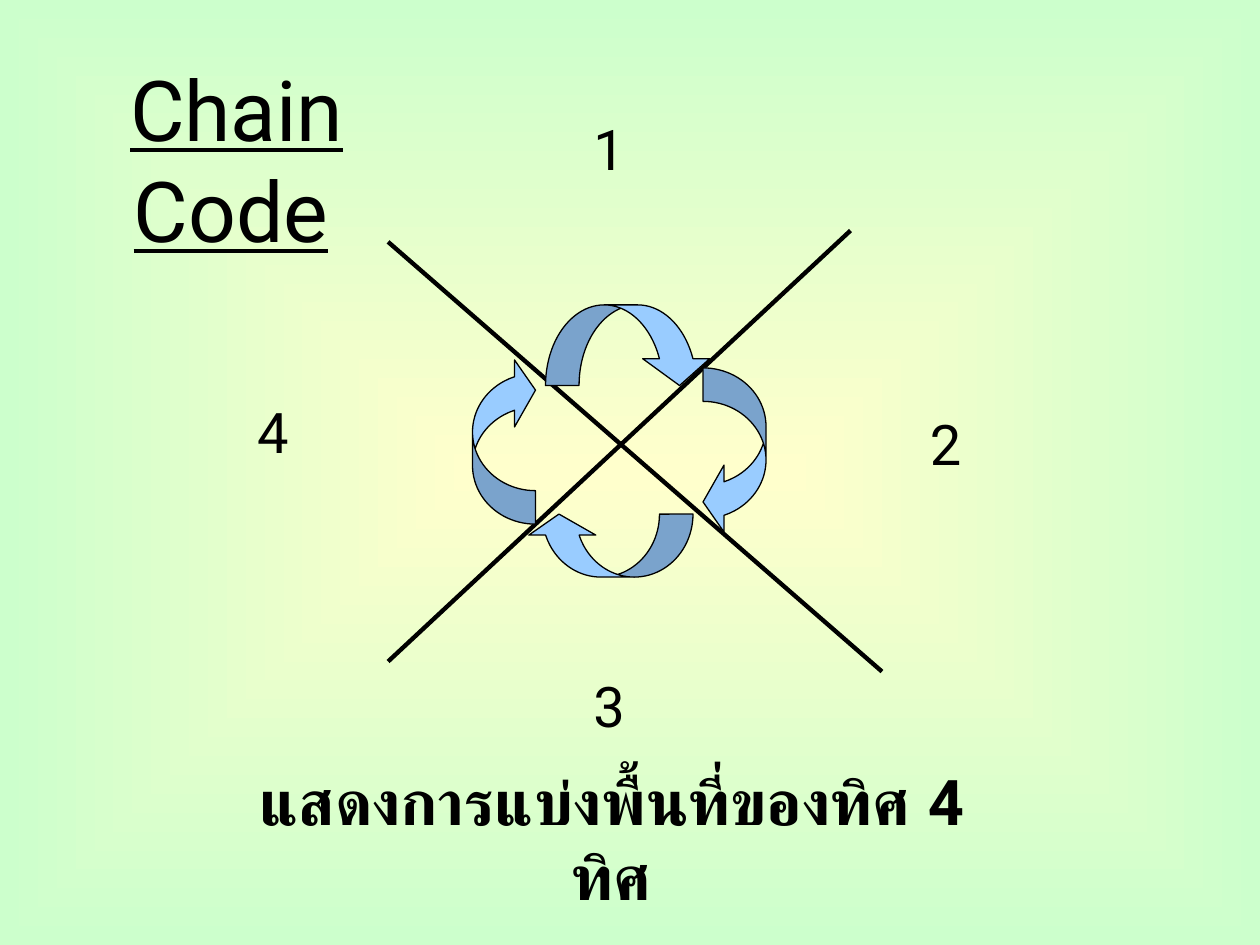
"""Build a slide on the four directions of the chain code."""
from lxml.etree import SubElement
from pptx import Presentation
from pptx.dml.color import RGBColor
from pptx.enum.shapes import MSO_CONNECTOR, MSO_SHAPE as Shape
from pptx.enum.text import MSO_ANCHOR, MSO_AUTO_SIZE, PP_ALIGN
from pptx.oxml.ns import qn
from pptx.util import Inches, Pt

WIDTH, HEIGHT = 10, 7.5
FONT = "Roboto"
COLORS = {"center": "FFFFCC", "edge": "CCFFCC", "ink": "000000", "arrow": "99CCFF"}
ARROW_LENGTH = 1.33


def color(name):
    return RGBColor.from_string(COLORS[name])


def paint_background(slide):
    fill = slide.background.fill
    fill.gradient()
    for stop, name in zip(fill.gradient_stops, ("center", "edge")):
        stop.color.rgb = color(name)
    gradient = slide.background._cSld.find(".//" + qn("a:gradFill"))
    gradient.remove(gradient.find(qn("a:lin")))
    path = SubElement(gradient, qn("a:path"), {"path": "rect"})
    SubElement(path, qn("a:fillToRect"), dict.fromkeys("ltrb", "50000"))


def write_text(shape, text, size=32, bold=False, underline=False, wrap=False):
    frame = shape.text_frame
    frame.word_wrap = wrap
    frame.auto_size = MSO_AUTO_SIZE.SHAPE_TO_FIT_TEXT
    frame.vertical_anchor = MSO_ANCHOR.TOP
    paragraph = frame.paragraphs[0]
    paragraph.alignment = PP_ALIGN.CENTER
    run = paragraph.add_run()
    run.text = text
    font = run.font
    font.name, font.size, font.bold, font.underline = FONT, Pt(size), bold, underline
    font.color.rgb = color("ink")


def add_title(slide):
    title = slide.shapes.title
    title.left, title.top = Inches(0.42), Inches(0.41)
    title.width, title.height = Inches(2.92), Inches(1.7)
    write_text(title, "Chain Code", size=48, underline=True, wrap=True)
    write_text(title, " ", size=28, wrap=True)


def add_label(slide, text, left, top, width=0.45, height=0.64, **text_format):
    box = slide.shapes.add_textbox(*map(Inches, (left, top, width, height)))
    write_text(box, text, **text_format)


def add_line(group, start, end):
    points = map(Inches, (*start, *end))
    line = group.shapes.add_connector(MSO_CONNECTOR.STRAIGHT, *points)
    line.line.color.rgb = color("ink")
    line.line.width = Pt(2.5)
    SubElement(line._element.spPr, qn("a:effectLst"))


def add_arrow(slide, kind, left, top, depth, rotation=0):
    size = (ARROW_LENGTH, depth)
    if kind == Shape.CURVED_LEFT_ARROW:
        size = (depth, ARROW_LENGTH)
    arrow = slide.shapes.add_shape(kind, *map(Inches, (left, top, *size)))
    arrow.rotation = rotation
    arrow.shadow.inherit = False
    shaft = 0.2 * ARROW_LENGTH / depth
    for index, value in enumerate((shaft, 2 * shaft, 1 / 3)):
        arrow.adjustments[index] = value
    arrow.fill.solid()
    arrow.fill.fore_color.rgb = color("arrow")
    arrow.line.color.rgb = color("ink")
    arrow.line.width = Pt(0.75)


def main():
    presentation = Presentation()
    presentation.slide_width, presentation.slide_height = Inches(WIDTH), Inches(HEIGHT)
    slide = presentation.slides.add_slide(presentation.slide_layouts[5])
    paint_background(slide)
    add_title(slide)

    positions = ((4.61, 0.86), (7.28, 3.2), (4.61, 5.28), (1.94, 3.11))
    for number, position in enumerate(positions, start=1):
        add_label(slide, str(number), *position)
    add_label(slide, "แสดงการแบ่งพื้นที่ของทิศ 4 ทิศ", 1.73, 6, 6.25, 1.3,
              size=36, bold=True, wrap=True)

    cross = slide.shapes.add_group_shape()
    add_line(cross, (3.08, 5.25), (6.75, 1.83))
    add_line(cross, (3.08, 1.92), (7, 5.33))

    add_arrow(slide, Shape.CURVED_DOWN_ARROW, 4.33, 2.42, 0.64)
    add_arrow(slide, Shape.CURVED_LEFT_ARROW, 5.58, 2.92, 0.5)
    add_arrow(slide, Shape.CURVED_DOWN_ARROW, 4.17, 4.08, 0.5, rotation=180)
    add_arrow(slide, Shape.CURVED_LEFT_ARROW, 3.75, 2.83, 0.5, rotation=180)

    presentation.save("out.pptx")


if __name__ == "__main__":
    main()
